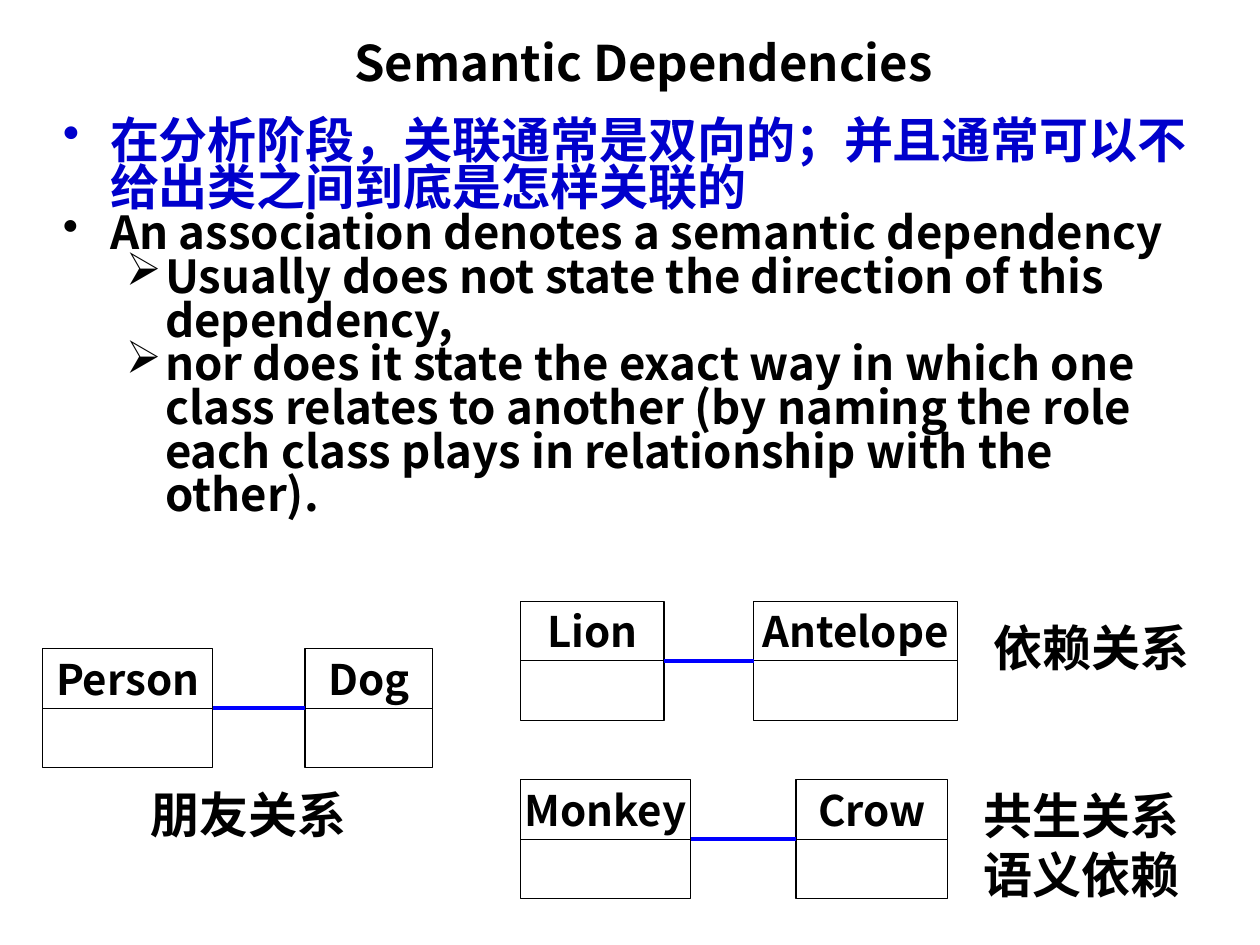
"""Build the Semantic Dependencies slide with three pairs of associated classes."""
from dataclasses import dataclass

from lxml import etree
from pptx import Presentation
from pptx.dml.color import RGBColor
from pptx.enum.shapes import MSO_CONNECTOR, MSO_SHAPE
from pptx.enum.text import MSO_ANCHOR, PP_ALIGN
from pptx.oxml.ns import qn
from pptx.util import Cm, Pt

CENTER, LEFT = PP_ALIGN.CENTER, PP_ALIGN.LEFT
MIDDLE, TOP = MSO_ANCHOR.MIDDLE, MSO_ANCHOR.TOP
RECTANGLE, STRAIGHT = MSO_SHAPE.RECTANGLE, MSO_CONNECTOR.STRAIGHT


@dataclass(frozen=True)
class Theme:
    """Colours, font and type sizes of the slide."""
    font: str = "Noto Sans CJK SC"
    black: RGBColor = RGBColor(0, 0, 0)
    white: RGBColor = RGBColor(255, 255, 255)
    accent: RGBColor = RGBColor(0, 0, 0xCC)
    link: RGBColor = RGBColor(0, 0, 0xFF)
    large: int = 28
    body: int = 26
    label: int = 24
    outline: float = 0.75
    link_width: float = 2.25


THEME = Theme()
ROW_HEIGHT = 1.2
CAPTION_WIDTH = 5.41
LEVELS = [("•", 0.95, 0.95), ("➢", 2.06, 0.79)]

TITLE = "Semantic Dependencies"
POINTS = [
    (0, "在分析阶段，关联通常是双向的；并且通常可以不给出类之间到底是怎样关联的", THEME.large, THEME.accent),
    (0, "An association denotes a semantic dependency", THEME.body, THEME.black),
    (1, "Usually does not state the direction of this dependency,", THEME.body, THEME.black),
    (1, "nor does it state the exact way in which one class relates to another "
        "(by naming the role each class plays in relationship with the other).", THEME.body, THEME.black),
]
ASSOCIATIONS = [
    {"top": 15.72, "classes": [("Monkey", 10.49, 3.43), ("Crow", 16.05, 3.05)],
     "caption": ["共生关系", "语义依赖"], "caption_at": (19.1, 15.72, 2.64)},
    {"top": 12.12, "classes": [("Lion", 10.49, 2.9), ("Antelope", 15.19, 4.11)],
     "caption": ["依赖关系"], "caption_at": (19.3, 12.32, 1.45)},
    {"top": 13.08, "classes": [("Person", 0.86, 3.43), ("Dog", 6.15, 2.57)],
     "caption": ["朋友关系"], "caption_at": (2.31, 15.7, 1.45)},
]


def style(para, size, color=THEME.black, align=CENTER):
    para.alignment = align
    font = para.font
    font.name, font.size, font.bold = THEME.font, Pt(size), True
    font.color.rgb = color


def add_bullet(para, level, color):
    symbol, margin, hanging = LEVELS[level]
    para.level = level
    para.line_spacing = 0.8
    properties = para._p.get_or_add_pPr()
    properties.set("marL", str(Cm(margin)))
    properties.set("indent", str(-Cm(hanging)))
    bullet_color = etree.SubElement(properties, qn("a:buClr"))
    etree.SubElement(bullet_color, qn("a:srgbClr")).set("val", str(color))
    etree.SubElement(properties, qn("a:buChar")).set("char", symbol)


def add_text(shapes, place, lines, anchor=TOP):
    box = shapes.add_textbox(*map(Cm, place))
    frame = box.text_frame
    frame.word_wrap = True
    frame.vertical_anchor = anchor
    frame.text = "\n".join(lines)
    for para in frame.paragraphs:
        style(para, THEME.large)
    return frame


def add_body(shapes):
    frame = add_text(shapes, (1.27, 2.31, 22.86, 9.2), [text for _, text, _, _ in POINTS])
    frame.margin_left = frame.margin_right = 0
    for para, (level, _, size, color) in zip(frame.paragraphs, POINTS):
        para._p.remove(para._p.pPr)
        add_bullet(para, level, color)
        style(para, size, color, LEFT)


def add_class(shapes, name, left, top, width):
    for row, text in enumerate((name, "")):
        box = shapes.add_shape(RECTANGLE, Cm(left), Cm(top + row * ROW_HEIGHT), Cm(width), Cm(ROW_HEIGHT))
        box.shadow.inherit = False
        box.fill.solid()
        box.fill.fore_color.rgb = THEME.white
        box.line.color.rgb = THEME.black
        box.line.width = Pt(THEME.outline)
        if text:
            frame = box.text_frame
            frame.word_wrap = False
            frame.vertical_anchor = MIDDLE
            frame.text = text
            style(frame.paragraphs[0], THEME.label)


def add_association(shapes, association):
    group = shapes.add_group_shape().shapes
    top = association["top"]
    for name, left, width in association["classes"]:
        add_class(group, name, left, top, width)
    (_, left, width), (_, end, _) = association["classes"]
    height = Cm(top + ROW_HEIGHT)
    link = group.add_connector(STRAIGHT, Cm(left + width), height, Cm(end), height)
    link.line.color.rgb = THEME.link
    link.line.width = Pt(THEME.link_width)
    etree.SubElement(link._element.spPr, qn("a:effectLst"))
    left, top, height = association["caption_at"]
    add_text(group, (left, top, CAPTION_WIDTH, height), association["caption"])


def main():
    deck = Presentation()
    deck.slide_width, deck.slide_height = Cm(25.4), Cm(19.05)
    page = deck.slides.add_slide(deck.slide_layouts[6])
    add_text(page.shapes, (5.26, 0.56, 15.42, 1.37), [TITLE], MIDDLE)
    add_body(page.shapes)
    for association in ASSOCIATIONS:
        add_association(page.shapes, association)
    deck.save("out.pptx")


if __name__ == "__main__":
    main()
